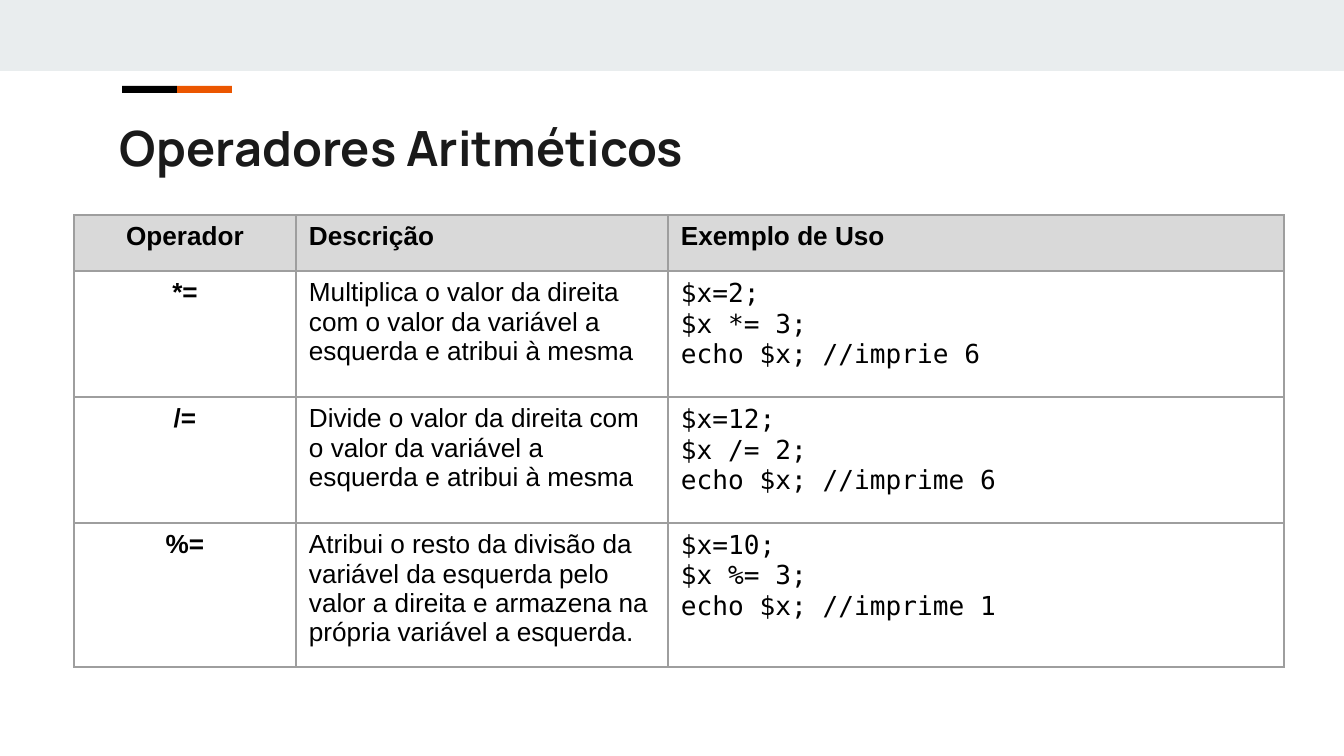
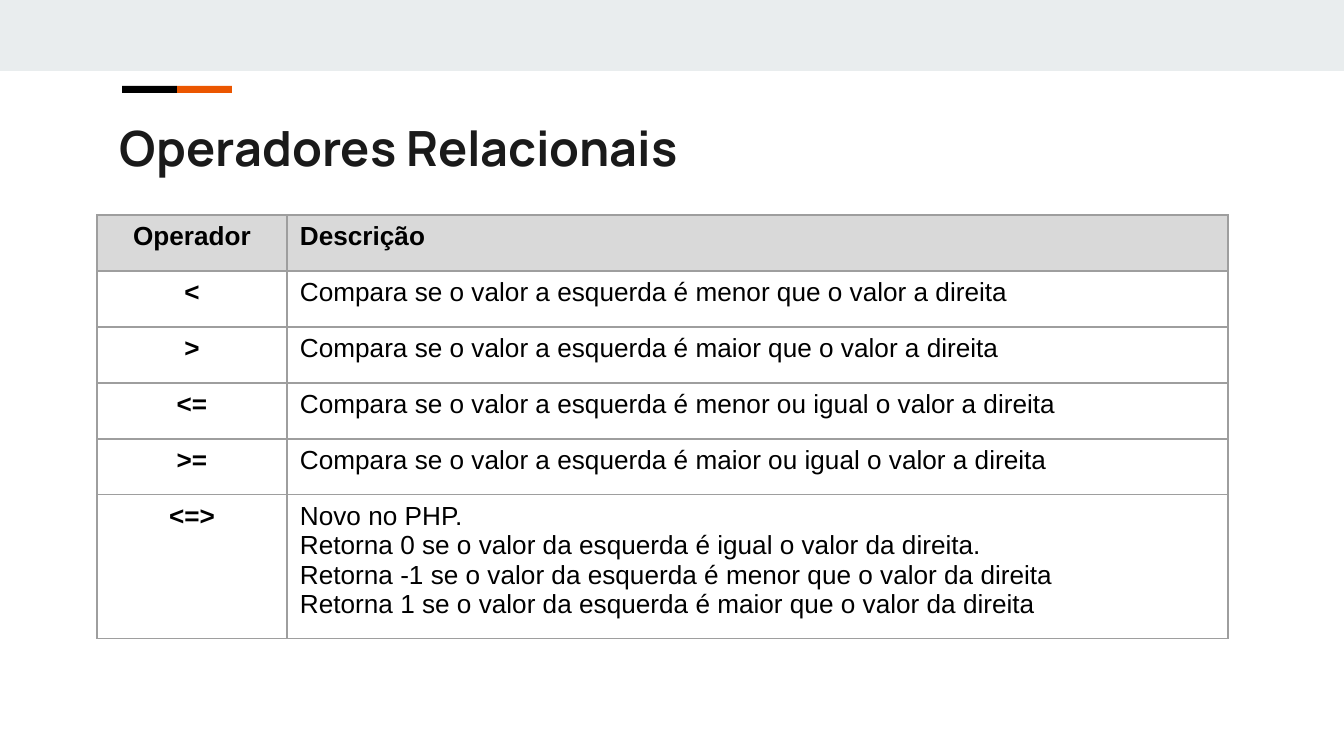
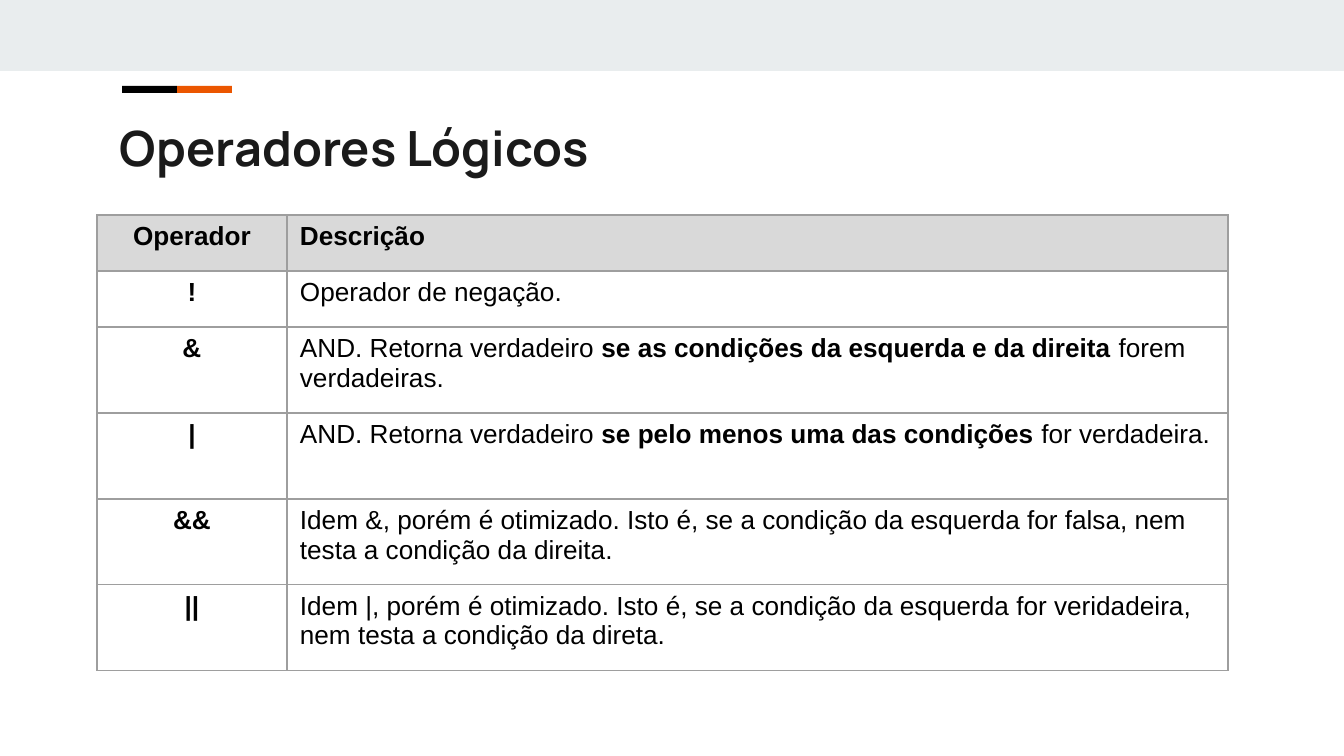
from lxml import etree
from pptx import Presentation
from pptx.dml.color import RGBColor
from pptx.enum.shapes import MSO_SHAPE
from pptx.enum.text import MSO_ANCHOR, PP_ALIGN
from pptx.oxml.ns import qn
from pptx.util import Pt

SCALE = 914400 / 134.4
WIDTH, HEIGHT = 1344, 756

RECTANGLE = MSO_SHAPE.RECTANGLE
TOP = MSO_ANCHOR.TOP
LEFT, CENTER = PP_ALIGN.LEFT, PP_ALIGN.CENTER

BAND = RGBColor(0xE9, 0xED, 0xEE)
ORANGE = RGBColor(0xEB, 0x56, 0x00)
BLACK = RGBColor(0x00, 0x00, 0x00)
INK = RGBColor(0x1A, 0x1A, 0x1A)
HEADER = RGBColor(0xD9, 0xD9, 0xD9)
BORDER = RGBColor(0x9E, 0x9E, 0x9E)

BODY_FONT, CODE_FONT, TITLE_FONT = "Arial", "DejaVu Sans Mono", "Manrope"
BOLD_MARK = "**"


def px(length):
    return round(length * SCALE)


class Deck:
    def __init__(self):
        self.presentation = Presentation()
        self.presentation.slide_width = px(WIDTH)
        self.presentation.slide_height = px(HEIGHT)
        self.slide = None

    def add_slide(self, title):
        blank = self.presentation.slide_layouts[6]
        self.slide = self.presentation.slides.add_slide(blank)
        self.bar(0, 0, WIDTH, 71, BAND)
        self.bar(177, 86, 55, 7, ORANGE)
        self.bar(122, 86, 55, 7, BLACK)
        self.title(title)

    def bar(self, left, top, width, height, color):
        bar = self.slide.shapes.add_shape(
            RECTANGLE, px(left), px(top), px(width), px(height))
        bar.shadow.inherit = False
        bar.fill.solid()
        bar.fill.fore_color.rgb = color
        bar.line.fill.background()

    def title(self, text):
        box = self.slide.shapes.add_textbox(px(107), px(105), px(1130), px(79))
        frame = box.text_frame
        layout = {"word_wrap": True, "vertical_anchor": TOP,
                  "margin_left": px(13), "margin_right": px(13),
                  "margin_top": px(13), "margin_bottom": px(13)}
        for name, value in layout.items():
            setattr(frame, name, value)
        self.text(frame, text, LEFT, INK, name=TITLE_FONT, size=Pt(26), bold=True)

    def text(self, frame, content, alignment, color, **style):
        for index, line in enumerate(content.split("\n")):
            paragraph = frame.paragraphs[0] if index == 0 else frame.add_paragraph()
            paragraph.alignment = alignment
            for part, words in enumerate(line.split(BOLD_MARK)):
                run = paragraph.add_run()
                run.text = words
                for name, value in style.items():
                    setattr(run.font, name, value)
                if part % 2:
                    run.font.bold = True
                run.font.color.rgb = color

    def borders(self, cell):
        properties = cell._tc.get_or_add_tcPr()
        for side in ("lnL", "lnR", "lnT", "lnB"):
            line = etree.SubElement(properties, qn(f"a:{side}"), w=str(Pt(0.74)))
            fill = etree.SubElement(line, qn("a:solidFill"))
            etree.SubElement(fill, qn("a:srgbClr"), val=str(BORDER))

    def table(self, left, widths, heights, rows):
        table = self.slide.shapes.add_table(
            len(rows), len(widths), px(left), px(215),
            px(sum(widths)), px(sum(heights))).table
        table.first_row = table.horz_banding = False
        for column, width in zip(table.columns, widths):
            column.width = px(width)
        for row, height in zip(table.rows, heights):
            row.height = px(height)
        for r, texts in enumerate(rows):
            for c, content in enumerate(texts):
                self.cell(table.cell(r, c), content, r == 0, c)

    def cell(self, cell, content, is_header, column):
        layout = {"margin_left": px(13), "margin_right": px(13),
                  "margin_top": px(7), "margin_bottom": px(7),
                  "vertical_anchor": TOP}
        for name, value in layout.items():
            setattr(cell, name, value)
        self.borders(cell)
        if is_header:
            cell.fill.solid()
            cell.fill.fore_color.rgb = HEADER
        else:
            cell.fill.background()
        is_code = column == 2 and not is_header
        self.text(cell.text_frame, content, CENTER if column == 0 else LEFT, BLACK,
                  name=CODE_FONT if is_code else BODY_FONT, size=Pt(14),
                  bold=is_header or column == 0)


ROW = 56
NARROW_TABLE = {"left": 97, "widths": [190, 941]}

deck = Deck()

deck.add_slide("Operadores Aritméticos")
deck.table(74, [222, 372, 616], [ROW, 126, 126, 144], [
    ("Operador", "Descrição", "Exemplo de Uso"),
    ("*=", "Multiplica o valor da direita com o valor da variável a esquerda "
           "e atribui à mesma",
     "$x=2;\n$x *= 3;\necho $x; //imprie 6"),
    ("/=", "Divide o valor da direita com o valor da variável a esquerda "
           "e atribui à mesma",
     "$x=12;\n$x /= 2;\necho $x; //imprime 6"),
    ("%=", "Atribui o resto da divisão da variável da esquerda pelo valor a "
           "direita e armazena na própria variável a esquerda.",
     "$x=10;\n$x %= 3;\necho $x; //imprime 1"),
])

deck.add_slide("Operadores Relacionais")
comparisons = {"<": "menor que", ">": "maior que",
               "<=": "menor ou igual", ">=": "maior ou igual"}
deck.table(**NARROW_TABLE, heights=[ROW] * 5 + [144], rows=[
    ("Operador", "Descrição"),
    *((operator, f"Compara se o valor a esquerda é {relation} o valor a direita")
      for operator, relation in comparisons.items()),
    ("<=>", "Novo no PHP.\n"
            "Retorna 0 se o valor da esquerda é igual o valor da direita.\n"
            "Retorna -1 se o valor da esquerda é menor que o valor da direita\n"
            "Retorna 1 se o valor da esquerda é maior que o valor da direita"),
])

deck.add_slide("Operadores Lógicos")
deck.table(**NARROW_TABLE, heights=[ROW] * 2 + [86] * 4, rows=[
    ("Operador", "Descrição"),
    ("!", "Operador de negação."),
    ("&", "AND. Retorna verdadeiro** se as condições da esquerda e da direita** "
          "forem verdadeiras."),
    ("|", "AND. Retorna verdadeiro** se pelo menos uma das condições** "
          "for verdadeira."),
    ("&&", "Idem &, porém é otimizado. Isto é, se a condição da esquerda for "
           "falsa, nem testa a condição da direita."),
    ("||", "Idem |, porém é otimizado. Isto é, se a condição da esquerda for "
           "veridadeira, nem testa a condição da direta."),
])

deck.presentation.save("out.pptx")
